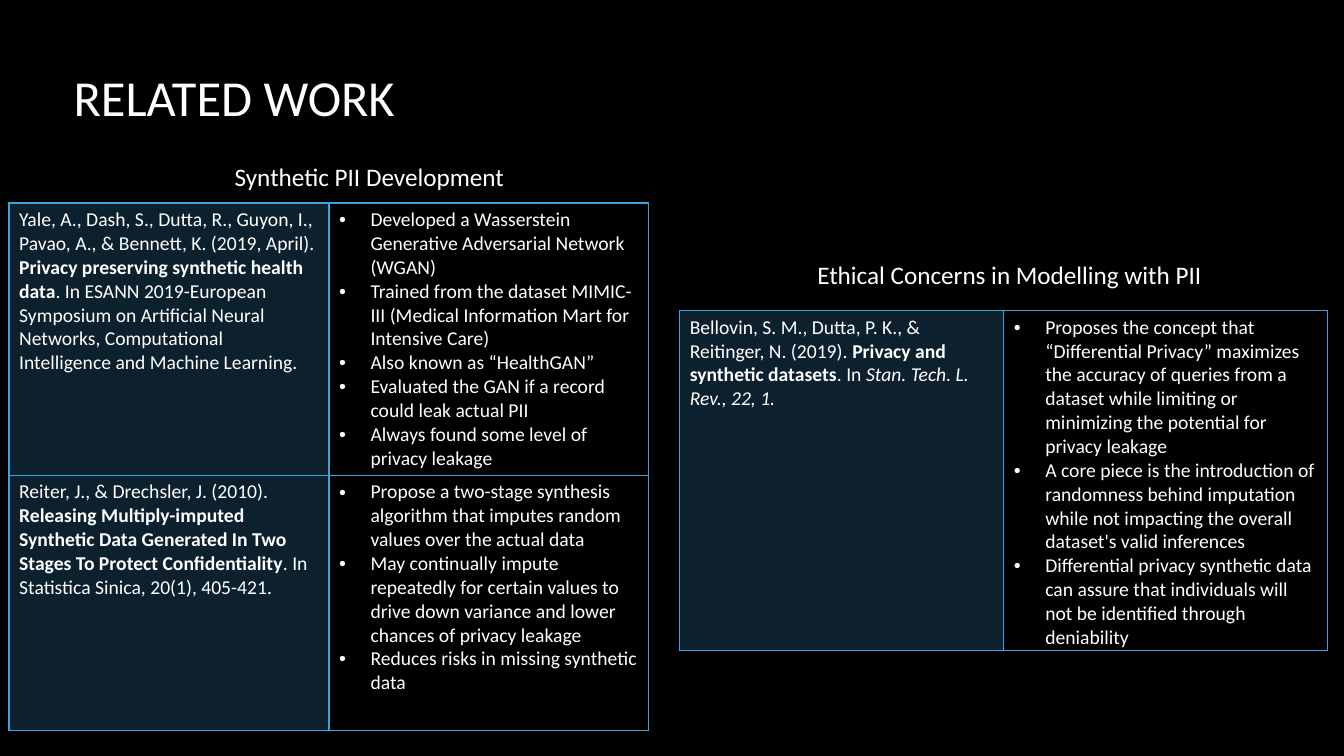
from lxml.etree import SubElement
from pptx import Presentation
from pptx.dml.color import RGBColor
from pptx.enum.text import MSO_ANCHOR, MSO_AUTO_SIZE, PP_ALIGN
from pptx.oxml import parse_xml
from pptx.oxml.ns import nsdecls, qn
from pptx.util import Pt

COLORS = {"background": "000000", "text": "FFFFFF", "accent": "3CA2E2"}
FONT = "Calibri"
BULLET_INDENT = Pt(22.5)

# Each study pairs its citation, as (text, style) pieces, with its findings.
SYNTHETIC_STUDIES = [
    (
        [
            ("Yale, A., Dash, S., Dutta, R., Guyon, I., Pavao, A., & Bennett, K. (2019, April). ", ""),
            ("Privacy preserving synthetic health data", "bold"),
            (". In ESANN 2019-European Symposium on Artificial Neural Networks, "
             "Computational Intelligence and Machine Learning.", ""),
        ],
        [
            "Developed a Wasserstein Generative Adversarial Network (WGAN)",
            "Trained from the dataset MIMIC-III (Medical Information Mart for Intensive Care)",
            "Also known as “HealthGAN”",
            "Evaluated the GAN if a record could leak actual PII",
            "Always found some level of privacy leakage",
        ],
    ),
    (
        [
            ("Reiter, J., & Drechsler, J. (2010). ", ""),
            ("Releasing Multiply-imputed Synthetic Data Generated In Two Stages "
             "To Protect Confidentiality", "bold"),
            (". In Statistica Sinica, 20(1), 405-421.", ""),
        ],
        [
            "Propose a two-stage synthesis algorithm that imputes random values over the actual data",
            "May continually impute repeatedly for certain values to drive down variance "
            "and lower chances of privacy leakage",
            "Reduces risks in missing synthetic data",
        ],
    ),
]
ETHICS_STUDIES = [
    (
        [
            ("Bellovin, S. M., Dutta, P. K., & Reitinger, N. (2019). ", ""),
            ("Privacy and synthetic datasets", "bold"),
            (". In ", ""),
            ("Stan. Tech. L. Rev., 22, 1.", "italic"),
        ],
        [
            "Proposes the concept that “Differential Privacy” maximizes the accuracy of queries "
            "from a dataset while limiting or minimizing the potential for privacy leakage",
            "A core piece is the introduction of randomness behind imputation while not "
            "impacting the overall dataset's valid inferences",
            "Differential privacy synthetic data can assure that individuals will not be "
            "identified through deniability",
        ],
    ),
]


class StudySlide:
    def __init__(self, deck):
        self.slide = deck.slides.add_slide(deck.slide_layouts[5])
        background = self.slide.background.fill
        background.solid()
        background.fore_color.rgb = RGBColor.from_string(COLORS["background"])

    def style(self, paragraph, size):
        paragraph.alignment = PP_ALIGN.LEFT
        paragraph.font.name = FONT
        paragraph.font.size = Pt(size)
        paragraph.font.color.rgb = RGBColor.from_string(COLORS["text"])

    def title(self, text, left, top, width, height):
        title = self.slide.shapes.title
        title.left, title.top, title.width, title.height = map(Pt, (left, top, width, height))
        frame = title.text_frame
        frame.text = text
        frame.auto_size = MSO_AUTO_SIZE.NONE
        frame.vertical_anchor = MSO_ANCHOR.MIDDLE
        self.style(frame.paragraphs[0], 36)

    def heading(self, text, left, top, width):
        frame = self.slide.shapes.add_textbox(Pt(left), Pt(top), Pt(width), Pt(29)).text_frame
        frame.word_wrap = True
        frame.text = text
        self.style(frame.paragraphs[0], 18)

    def study_table(self, studies, left, top, width, row_heights):
        table = self.slide.shapes.add_table(
            len(studies), 2, Pt(left), Pt(top), Pt(width), Pt(sum(row_heights))).table
        table.first_row = table.horz_banding = False
        for row, height, (citation, findings) in zip(table.rows, row_heights, studies):
            row.height = Pt(height)
            citation_cell, findings_cell = row.cells
            self.write_citation(citation_cell, citation)
            self.write_findings(findings_cell, findings)
            for cell in row.cells:
                cell.margin_bottom = 0
                self.outline(cell)

    def write_citation(self, cell, pieces):
        paragraph = cell.text_frame.paragraphs[0]
        self.style(paragraph, 14)
        for text, emphasis in pieces:
            run = paragraph.add_run()
            run.text = text
            if emphasis == "bold":
                run.font.bold = True
            elif emphasis == "italic":
                run.font.italic = True
        cell.fill.solid()
        cell.fill.fore_color.rgb = RGBColor.from_string(COLORS["accent"])
        tint = cell._tc.tcPr.find(".//" + qn("a:srgbClr"))
        SubElement(tint, qn("a:alpha"), val="20000")

    def write_findings(self, cell, findings):
        cell.text_frame.text = "\n".join(findings)
        for paragraph in cell.text_frame.paragraphs:
            properties = paragraph._p.get_or_add_pPr()
            properties.set("marL", str(BULLET_INDENT))
            properties.set("indent", str(-BULLET_INDENT))
            SubElement(properties, qn("a:buFont"), typeface="Arial")
            SubElement(properties, qn("a:buChar"), char="•")
            self.style(paragraph, 14)
        cell.fill.background()

    def outline(self, cell):
        """Draw all four borders; they must come before the fill in the XML."""
        for index, side in enumerate(("lnL", "lnR", "lnT", "lnB")):
            border = parse_xml(
                f'<a:{side} {nsdecls("a")} w="{Pt(1)}"><a:solidFill>'
                f'<a:srgbClr val="{COLORS["accent"]}"/></a:solidFill></a:{side}>')
            cell._tc.tcPr.insert(index, border)


def main():
    deck = Presentation()
    deck.slide_width, deck.slide_height = Pt(960), Pt(540)
    page = StudySlide(deck)
    page.title("RELATED WORK", 45.4, 11.5, 798, 114.5)
    page.study_table(SYNTHETIC_STUDIES, 6.5, 145, 457, (194.5, 182.5))
    page.heading("Synthetic PII Development", 160.5, 111.6, 225)
    page.heading("Ethical Concerns in Modelling with PII", 576.7, 182, 309)
    page.study_table(ETHICS_STUDIES, 485.5, 221.8, 463, (242.6,))
    deck.save("out.pptx")


if __name__ == "__main__":
    main()
